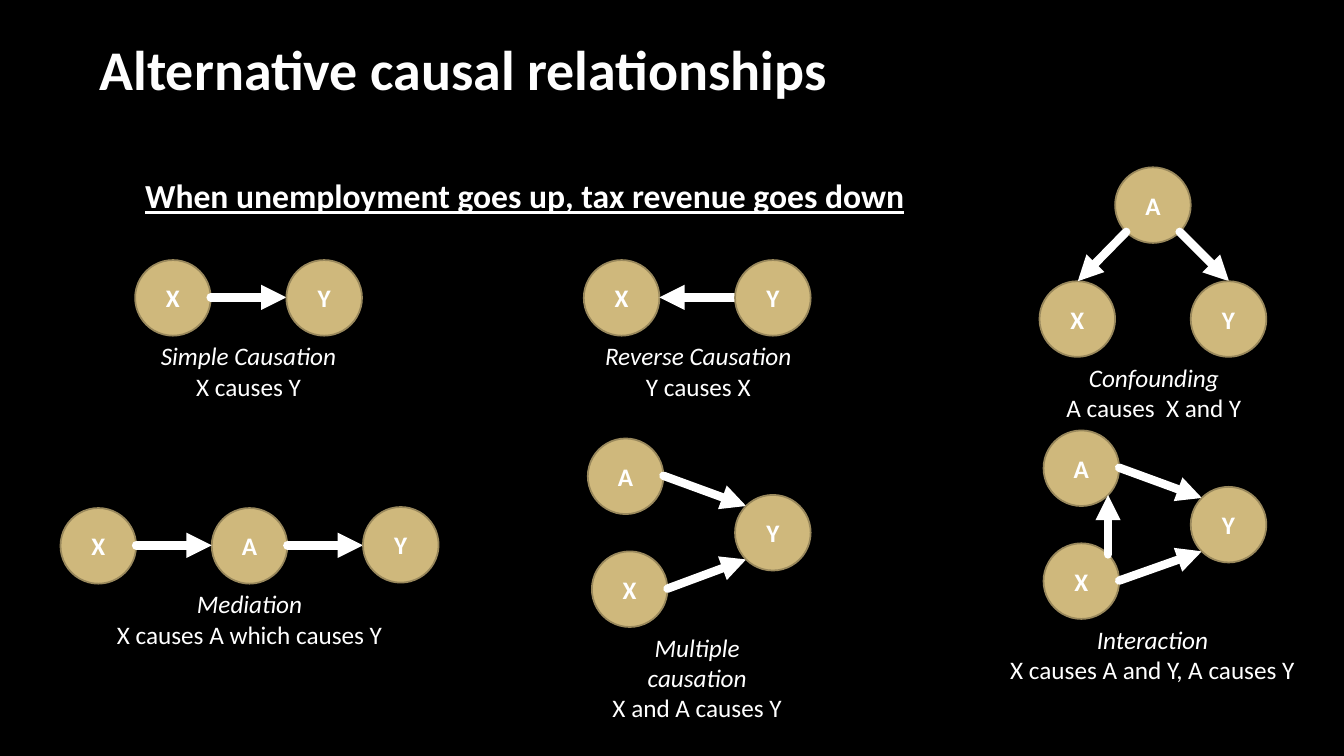
from lxml import etree
from pptx import Presentation
from pptx.dml.color import RGBColor
from pptx.enum.shapes import MSO_CONNECTOR, MSO_SHAPE
from pptx.enum.text import MSO_ANCHOR, MSO_AUTO_SIZE, PP_ALIGN
from pptx.oxml.ns import qn
from pptx.util import Inches, Pt

OVAL = MSO_SHAPE.OVAL
LINE = MSO_CONNECTOR.STRAIGHT
MID, BOTTOM = MSO_ANCHOR.MIDDLE, MSO_ANCHOR.BOTTOM
LEFT, CENTER = PP_ALIGN.LEFT, PP_ALIGN.CENTER
GROW = MSO_AUTO_SIZE.SHAPE_TO_FIT_TEXT
COLORS = {name: RGBColor.from_string(code) for name, code in {
    "back": "000000", "title": "FEFEFE", "text": "FFFFFF",
    "gold": "CFB87C", "edge": "99885C"}.items()}
SIZE = 0.75

deck = Presentation()
deck.slide_width, deck.slide_height = Inches(13.33), Inches(7.5)
slide = deck.slides.add_slide(deck.slide_layouts[6])
slide.background.fill.solid()
slide.background.fill.fore_color.rgb = COLORS["back"]
shapes = slide.shapes


def style(par, text, size, align, color="text", bold=False):
    par.text = text
    par.alignment = align
    font = par.font
    font.name, font.size, font.bold = "Calibri", Pt(size), bold
    font.color.rgb = COLORS[color]
    return font


def add_node(name, left, top):
    node = shapes.add_shape(OVAL, Inches(left), Inches(top), Inches(SIZE), Inches(SIZE))
    node.shadow.inherit = False
    node.fill.solid()
    node.fill.fore_color.rgb = COLORS["gold"]
    node.line.color.rgb = COLORS["edge"]
    node.line.width = Pt(1.25)
    node.text_frame.vertical_anchor = MID
    style(node.text_frame.paragraphs[0], name, 18, CENTER, bold=True)


title = shapes.add_textbox(Inches(0.89), Inches(0), Inches(11.56), Inches(1.06)).text_frame
title.word_wrap = True
title.vertical_anchor = BOTTOM
style(title.paragraphs[0], "Alternative causal relationships", 40, LEFT, "title", True)

claim = shapes.add_textbox(Inches(1.34), Inches(1.69), Inches(8.09), Inches(0.5)).text_frame
claim.word_wrap = False
claim.auto_size = GROW
font = style(claim.paragraphs[0], "When unemployment goes up, tax revenue goes down", 24, LEFT, bold=True)
font.underline = True

# name, note, note box (left, top, width), wrap, causes, arrows, effect Y
graphs = [
    ("Simple Causation", "X causes Y", (1.49, 3.33, 1.95), False,
     [("X", 1.34, 2.58)], [(2.09, 2.95, 2.84, 2.95)], (2.84, 2.58)),
    ("Reverse Causation", "Y causes X", (5.87, 3.33, 2.11), False,
     [("X", 5.79, 2.58)], [(7.29, 2.95, 6.54, 2.95)], (7.29, 2.58)),
    ("Confounding", "A causes  X and Y", (10.46, 3.54, 1.97), False,
     [("X", 10.31, 2.79), ("A", 11.06, 1.66)],
     [(11.17, 2.3, 10.69, 2.79), (11.7, 2.3, 12.19, 2.79)], (11.81, 2.79)),
    ("Mediation", "X causes A which causes Y", (1.03, 5.79, 2.89), False,
     [("X", 0.6, 5.04), ("A", 2.1, 5.04)],
     [(1.35, 5.41, 2.1, 5.41), (2.85, 5.41, 3.6, 5.41)], (3.6, 5.03)),
    ("Multiple causation", "X and A causes Y", (5.88, 6.22, 2.07), True,
     [("X", 5.87, 5.47), ("A", 5.83, 4.35)],
     [(6.62, 5.84, 7.4, 5.55), (6.58, 4.72, 7.4, 5.02)], (7.29, 4.91)),
    ("Interaction", "X causes A and Y, A causes Y", (9.89, 6.14, 3.08), False,
     [("X", 10.35, 5.39), ("A", 10.35, 4.27)],
     [(11.1, 5.76, 11.92, 5.47), (11.1, 4.64, 11.92, 4.94), (10.99, 5.5, 10.99, 4.91)],
     (11.81, 4.83)),
]

for name, note, (left, top, width), wrap, causes, arrows, effect in graphs:
    for cause in causes:
        add_node(*cause)
    for ends in arrows:
        arrow = shapes.add_connector(LINE, *map(Inches, ends))
        arrow.line.color.rgb = COLORS["text"]
        arrow.line.width = Pt(6)
        line = arrow.line._get_or_add_ln()
        line.set("cap", "rnd")
        etree.SubElement(line, qn("a:tailEnd"), type="triangle")
        etree.SubElement(arrow._element.spPr, qn("a:effectLst"))
    add_node("Y", *effect)

    box = shapes.add_textbox(Inches(left), Inches(top), Inches(width), Inches(0.71)).text_frame
    box.word_wrap = wrap
    box.auto_size = GROW
    font = style(box.paragraphs[0], name, 18, CENTER)
    font.italic = True
    style(box.add_paragraph(), note, 18, CENTER)

deck.save("out.pptx")
